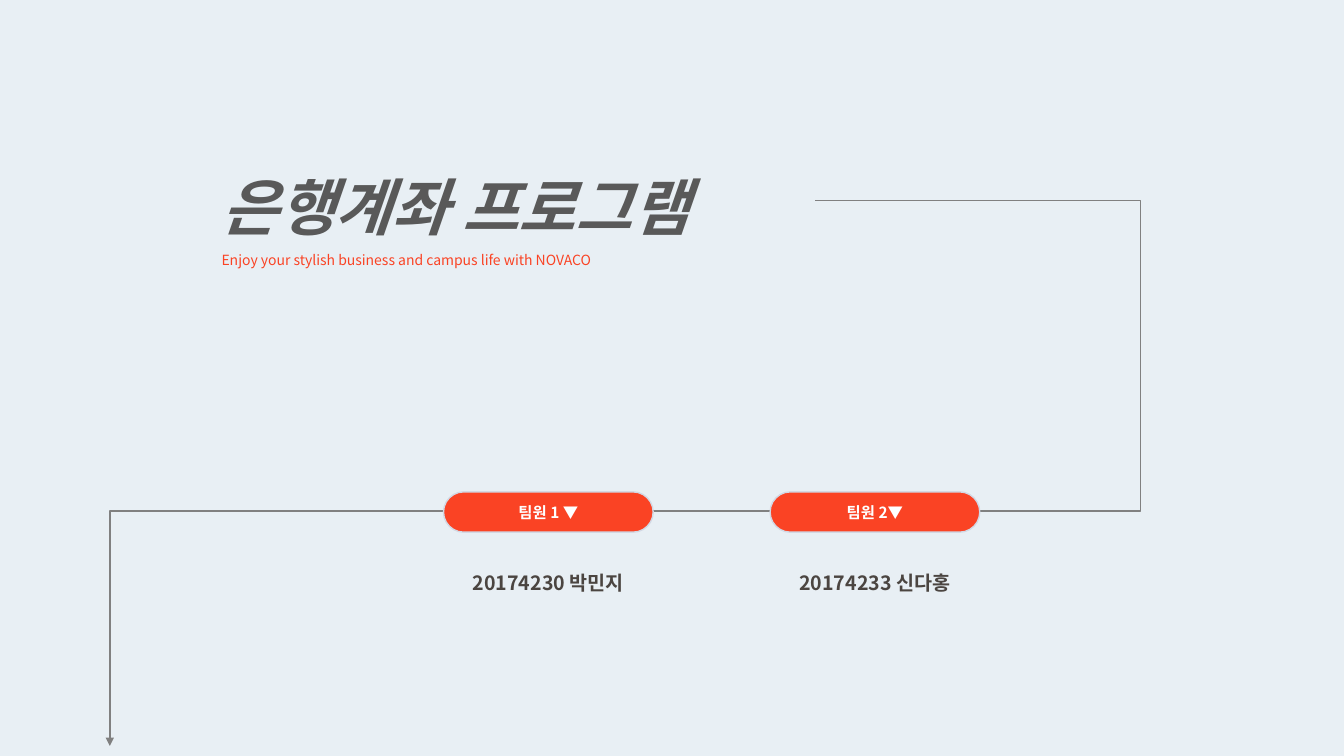
"""Build the title slide of a bank account program with its two team members."""
import pptx
import pptx.util
import pptx.dml.color
import pptx.enum.shapes
import pptx.enum.text
import pptx.oxml
import pptx.oxml.ns

Pt = pptx.util.Pt
SHAPE = pptx.enum.shapes.MSO_SHAPE
ALIGN = pptx.enum.text.PP_ALIGN

THEME = {
    "font": "Noto Sans CJK KR",
    "back": "E8EFF4", "red": "FA4324", "edge": "D2D8E4", "line": "808080",
    "title": "595959", "name": "4B4541", "white": "FFFFFF",
    "big": 44, "small": 10, "label": 11, "body": 14,
}
TITLE = "은행계좌 프로그램"
MOTTO = "Enjoy your stylish business and campus life with NOVACO"
TEAM = [("팀원 1 ", "20174230 박민지"), ("팀원 2", "20174233 신다홍")]
MARK = "▼"

WIDE, HIGH = 960, 540
TITLE_BOX = (151.2, 90.72, 432, 105.12)
PILL_X, PILL_Y, PILL_W, PILL_H, STEP = 316.8, 351.36, 149.76, 28.8, 233.28
NAME_Y, NAME_W, NAME_H = 396, 138.96, 29.52
START, END = (582.48, 143.28), (78.48, 532.8)
TURN_X, TURN_Y = 815.04, 365.04
MASK_W, MASK_H = 66.24, 7.2


def tint(key):
    return pptx.dml.color.RGBColor.from_string(THEME[key])


def write(para, text, size="body", color="name", bold=True, slant=False, align=None, space=None):
    para.alignment = align
    para.line_spacing = space
    run = para.add_run()
    run.text = text
    font = run.font
    font.name, font.size = THEME["font"], Pt(THEME[size])
    font.bold, font.italic = bold, slant
    font.color.rgb = tint(color)
    east = pptx.oxml.parse_xml(f'<a:ea {pptx.oxml.ns.nsdecls("a")} typeface="{THEME["font"]}"/>')
    font.fill
    run.font._element.find(pptx.oxml.ns.qn("a:latin")).addnext(east)


def box(slide, *place):
    frame = slide.shapes.add_textbox(*map(Pt, place)).text_frame
    frame.word_wrap = True
    frame.auto_size = pptx.enum.text.MSO_AUTO_SIZE.SHAPE_TO_FIT_TEXT
    return frame


def block(slide, kind, place, fill, edge=None):
    shape = slide.shapes.add_shape(kind, *map(Pt, place))
    shape.shadow.inherit = False
    shape.fill.solid()
    shape.fill.fore_color.rgb = tint(fill)
    if edge:
        shape.line.color.rgb = tint(edge)
        shape.line.width = Pt(1)
    else:
        shape.line.fill.background()
    return shape


def route(slide):
    kind = pptx.enum.shapes.MSO_CONNECTOR.ELBOW
    line = slide.shapes.add_connector(kind, *map(Pt, START + END))
    line.line.color.rgb = tint("line")
    line.line.width = Pt(1)
    space = pptx.oxml.ns.nsdecls("a")
    bends = [(TURN_X - START[0]) / (END[0] - START[0]),
             (TURN_Y - START[1]) / (END[1] - START[1])]
    guides = "".join(f'<a:gd name="adj{i}" fmla="val {round(bend * 100000)}"/>'
                     for i, bend in enumerate(bends, 1))
    props = line._element.spPr
    shape = props.find(pptx.oxml.ns.qn("a:prstGeom"))
    shape.addnext(pptx.oxml.parse_xml(
        f'<a:prstGeom {space} prst="bentConnector4"><a:avLst>{guides}</a:avLst></a:prstGeom>'))
    props.remove(shape)
    line.line._get_or_add_ln().append(pptx.oxml.parse_xml(f'<a:tailEnd {space} type="triangle"/>'))
    props.append(pptx.oxml.parse_xml(f'<a:effectLst {space}/>'))
    return line


def main():
    deck = pptx.Presentation()
    deck.slide_width, deck.slide_height = Pt(WIDE), Pt(HIGH)
    slide = deck.slides.add_slide(deck.slide_layouts[6])
    slide.background.fill.solid()
    slide.background.fill.fore_color.rgb = tint("back")

    line = route(slide)
    head = box(slide, *TITLE_BOX)
    write(head.paragraphs[0], TITLE, size="big", color="title", slant=True, space=1.5)
    write(head.add_paragraph(), MOTTO, size="small", color="red", bold=False, space=1.5)

    for i, (label, name) in enumerate(TEAM):
        left = PILL_X + i * STEP
        pill = block(slide, SHAPE.ROUNDED_RECTANGLE, (left, PILL_Y, PILL_W, PILL_H), "red", "edge")
        pill.adjustments[0] = 0.5
        pill.text_frame.vertical_anchor = pptx.enum.text.MSO_ANCHOR.MIDDLE
        para = pill.text_frame.paragraphs[0]
        for text, bold in ((label, True), (MARK, False)):
            write(para, text, size="label", color="white", bold=bold, align=ALIGN.CENTER)
        frame = box(slide, left + (PILL_W - NAME_W) / 2, NAME_Y, NAME_W, NAME_H)
        write(frame.paragraphs[0], name, align=ALIGN.CENTER, space=1.5)

    mask = block(slide, SHAPE.RECTANGLE, (END[0] - MASK_W / 2, END[1], MASK_W, MASK_H), "back")
    line.end_connect(mask, 0)
    deck.save("out.pptx")


if __name__ == "__main__":
    main()
